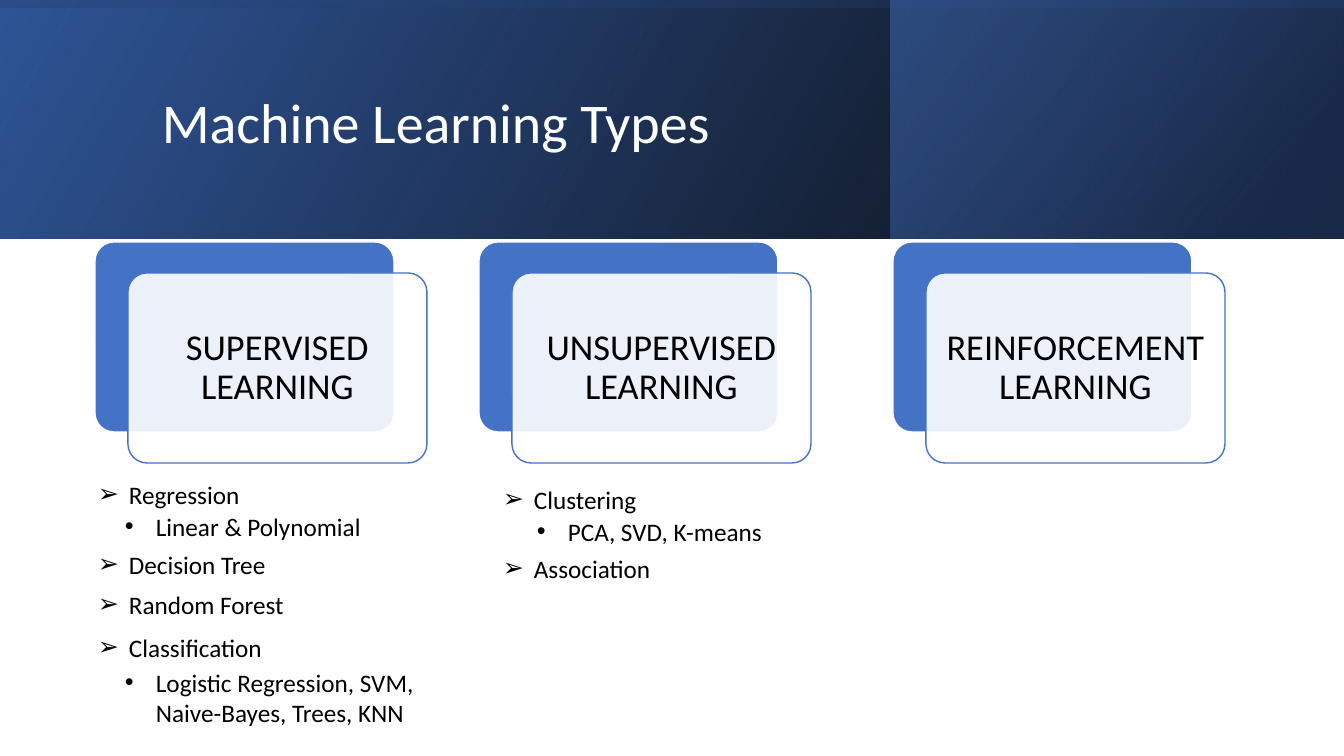
from lxml import etree
from pptx import Presentation
from pptx.dml.color import RGBColor
from pptx.enum.shapes import MSO_SHAPE
from pptx.enum.text import MSO_ANCHOR, MSO_AUTO_SIZE, PP_ALIGN
from pptx.oxml.ns import qn
from pptx.util import Emu, Pt

RECT, ROUNDED = MSO_SHAPE.RECTANGLE, MSO_SHAPE.ROUNDED_RECTANGLE
MIDDLE, CENTER = MSO_ANCHOR.MIDDLE, PP_ALIGN.CENTER
GROW = MSO_AUTO_SIZE.SHAPE_TO_FIT_TEXT
PX = 914400 / 100.8
COLORS = {
    "black": "000000",
    "white": "FFFFFF",
    "blue": "4472C4",
    "deep": "2F5597",
    "navy": "203864",
}


def px(*lengths):
    return [Emu(round(length * PX)) for length in lengths]


def add_words(paragraph, words, size, color):
    run = paragraph.add_run()
    run.text = words
    run.font.size = Pt(size)
    run.font.name = "Calibri"
    run.font.color.rgb = RGBColor.from_string(COLORS[color])


prs = Presentation()
prs.slide_width, prs.slide_height = px(1344, 756)
slide = prs.slides.add_slide(prs.slide_layouts[6])
shapes = slide.shapes

banner_layers = [
    ((0, 0, 1344, 239), 0, 30, [(0, "black", 96), (100, "deep", 100)]),
    ((891, 0, 452, 239), 0, 40, [(19, "navy", 68), (100, "blue", 48)]),
    ((552, -552, 239, 1344), 270, 10, [(23, "deep", 16), (99, "black", 45)]),
]
for box, rotation, angle, stops in banner_layers:
    layer = shapes.add_shape(RECT, *px(*box))
    layer.shadow.inherit = False
    layer.rotation = rotation
    layer._element.spPr.find(qn("a:xfrm")).set("flipH", "1")
    layer.line.fill.background()
    layer.fill.gradient()
    layer.fill.gradient_angle = angle
    for stop, (position, color, opacity) in zip(layer.fill.gradient_stops, stops):
        stop.position = position / 100
        stop.color.rgb = RGBColor.from_string(COLORS[color])
    tints = layer._element.spPr.iter(qn("a:srgbClr"))
    for tint, (position, color, opacity) in zip(list(tints), stops):
        etree.SubElement(tint, qn("a:alpha")).set("val", str(opacity * 1000))

title = shapes.add_textbox(*px(152, 39, 1072, 173)).text_frame
title.word_wrap = True
title.vertical_anchor = MIDDLE
title.paragraphs[0].line_spacing = 0.9
add_words(title.paragraphs[0], "Machine Learning Types", 40, "white")

learning_types = [
    (95, "SUPERVISED LEARNING"),
    (479, "UNSUPERVISED LEARNING"),
    (893, "REINFORCEMENT LEARNING"),
]
card_layers = [(0, 242, "blue", "white"), (33, 273, "white", "blue")]
for left, heading in learning_types:
    for shift, top, fill, outline in card_layers:
        card = shapes.add_shape(ROUNDED, *px(left + shift, top, 299, 190))
        card.shadow.inherit = False
        card.adjustments[0] = 0.1
        card.fill.solid()
        card.fill.fore_color.rgb = RGBColor.from_string(COLORS[fill])
        card.line.color.rgb = RGBColor.from_string(COLORS[outline])
        card.line.width = Pt(1)
    tint = card._element.spPr.find(qn("a:solidFill")).find(qn("a:srgbClr"))
    etree.SubElement(tint, qn("a:alpha")).set("val", "90000")
    label = card.text_frame
    label.word_wrap = True
    label.vertical_anchor = MIDDLE
    label.margin_left, label.margin_right = px(8, 8)
    label.margin_top, label.margin_bottom = px(11, 11)
    label.paragraphs[0].alignment = CENTER
    label.paragraphs[0].line_spacing = 0.9
    add_words(label.paragraphs[0], heading, 26, "black")

methods = [
    (88, 474, 290, 40, "➢", "Regression"),
    (115, 506, 290, 40, "•", "Linear & Polynomial"),
    (88, 544, 290, 40, "➢", "Decision Tree"),
    (88, 584, 290, 40, "➢", "Random Forest"),
    (88, 627, 290, 40, "➢", "Classification"),
    (115, 662, 311, 72, "•", "Logistic Regression, SVM, Naive-Bayes, Trees, KNN"),
    (493, 479, 290, 40, "➢", "Clustering"),
    (527, 511, 290, 40, "•", "PCA, SVD, K-means"),
    (493, 548, 290, 40, "➢", "Association"),
]
indent = px(31)[0]
for left, top, width, height, bullet, method in methods:
    entry = shapes.add_textbox(*px(left, top, width, height)).text_frame
    entry.word_wrap = True
    entry.auto_size = GROW
    paragraph = entry.paragraphs[0]
    properties = paragraph._p.get_or_add_pPr()
    properties.set("marL", str(indent))
    properties.set("indent", str(-indent))
    etree.SubElement(properties, qn("a:buFont")).set("typeface", "Arial")
    etree.SubElement(properties, qn("a:buChar")).set("char", bullet)
    add_words(paragraph, method, 18, "black")

prs.save("out.pptx")
